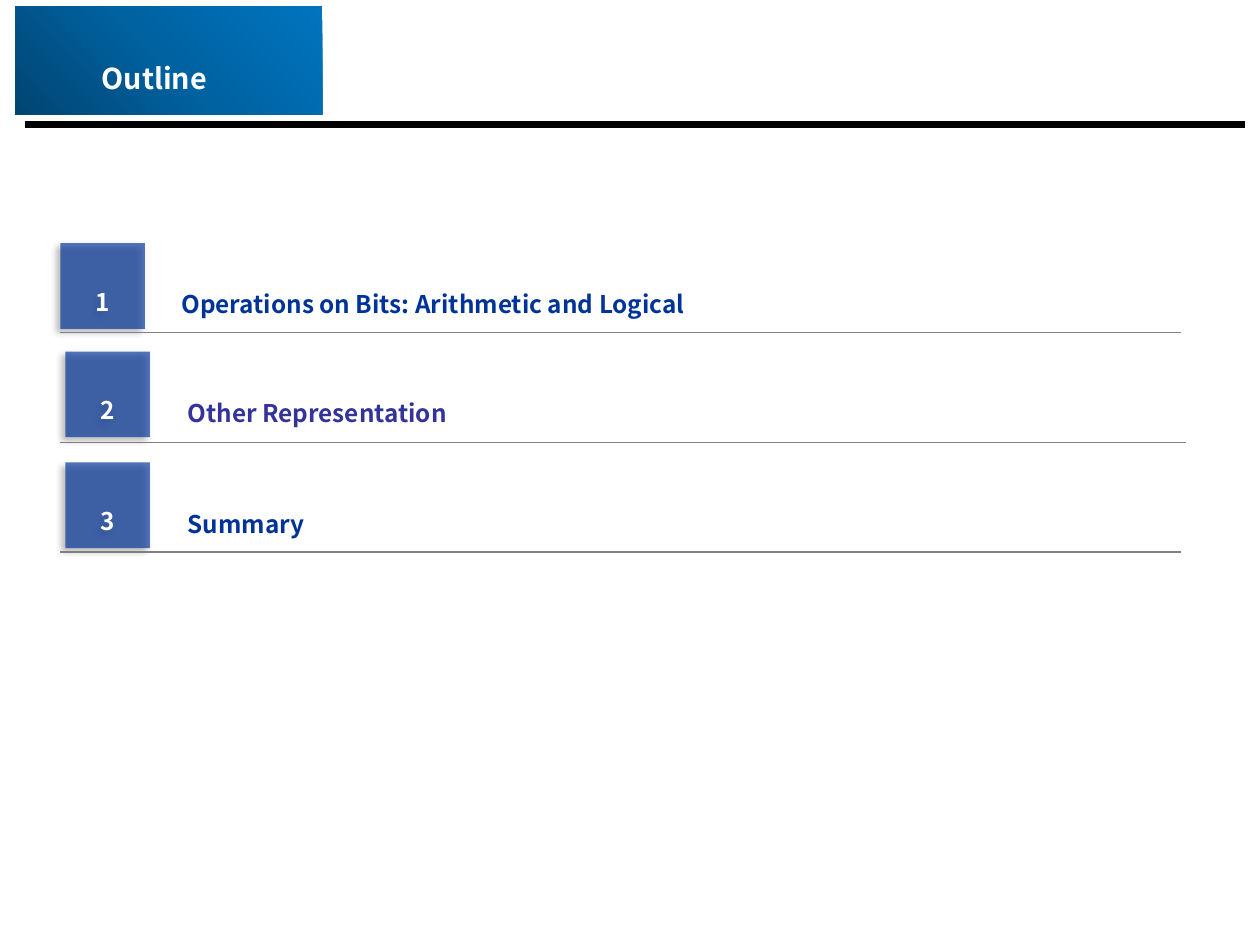
"""Build an outline slide with a title tab and three numbered topics."""
import pptx
import pptx.util
import pptx.dml.color
import pptx.enum.shapes
import pptx.enum.text
import pptx.oxml
import lxml.etree

COLS, ROWS = 1000, 750
FONT = "Noto Sans CJK SC"
HUES = {
    "white": "FFFFFF", "black": "000000", "gray": "808080",
    "navy": "003399", "violet": "333399",
    "deep": "004571", "mid": "0062A1", "sky": "0074BF",
}
TITLE = "Outline"
TOPICS = [
    {"text": "Operations on Bits: Arithmetic and Logical", "hue": "navy",
     "badge": (48, 193), "label": (133, 811), "rules": [48]},
    {"text": "Other Representation", "hue": "violet",
     "badge": (52, 279), "label": (138, 803), "rules": [48, 52]},
    {"text": "Summary", "hue": "navy",
     "badge": (52, 367), "label": (138, 803), "rules": [48]},
]
BASE, STEP, SIDE, SPAN = 264, 87, 67, 889
NS = "http://schemas.openxmlformats.org/drawingml/2006/main"
SHADE = f"""<a:effectLst xmlns:a="{NS}">
<a:outerShdw blurRad="50800" dist="38100" dir="8100000" algn="tr" rotWithShape="0">
<a:srgbClr val="{HUES['black']}"><a:alpha val="40000"/></a:srgbClr>
</a:outerShdw></a:effectLst>"""
PLAIN = f'<a:effectLst xmlns:a="{NS}"/>'
STOPS = "".join(
    f'<a:gs pos="{pos}"><a:srgbClr val="{HUES[hue]}"/></a:gs>'
    for pos, hue in [(0, "deep"), (50000, "mid"), (100000, "sky")])
GLOW = f"""<a:gradFill xmlns:a="{NS}" rotWithShape="1"><a:gsLst>{STOPS}</a:gsLst>
<a:path path="circle"><a:fillToRect t="100000" r="100000"/></a:path></a:gradFill>"""

deck = pptx.Presentation()
deck.slide_width = pptx.util.Inches(10)
deck.slide_height = pptx.util.Inches(7.5)
slide = deck.slides.add_slide(deck.slide_layouts[6])


def grid(x, y):
    return round(deck.slide_width * x / COLS), round(deck.slide_height * y / ROWS)


def tint(hue):
    return pptx.dml.color.RGBColor.from_string(HUES[hue])


def effect(item, xml):
    item._element.spPr.append(pptx.oxml.parse_xml(xml))


def rule(home, x, y, span, hue, width, xml):
    line = home.add_connector(
        pptx.enum.shapes.MSO_CONNECTOR.STRAIGHT, *grid(x, y), *grid(x + span, y))
    line.line.color.rgb = tint(hue)
    line.line.width = pptx.util.Pt(width)
    effect(line, xml)


def block(home, x, y, w, h, hue):
    rect = home.add_shape(
        pptx.enum.shapes.MSO_SHAPE.RECTANGLE, *grid(x, y), *grid(w, h))
    rect.fill.solid()
    rect.fill.fore_color.rgb = tint(hue)
    rect.line.fill.background()
    rect.shadow.inherit = False
    return rect


def write(shape, text, size, hue, align, side=0, foot=0, wrap=True):
    frame = shape.text_frame
    frame.text = text
    frame.word_wrap = wrap
    frame.vertical_anchor = pptx.enum.text.MSO_ANCHOR.BOTTOM
    frame.margin_left = frame.margin_right = grid(side, 0)[0]
    frame.margin_top, frame.margin_bottom = 0, grid(0, foot)[1]
    para = frame.paragraphs[0]
    para.alignment = align
    font = para.runs[0].font
    font.name, font.size, font.bold = FONT, pptx.util.Pt(size), True
    font.color.rgb = tint(hue)


def topic(row, data):
    home = slide.shapes.add_group_shape().shapes
    x, top = data["badge"]
    left, width = data["label"]
    label = block(home, left, top + 10, width, 48, "white")
    write(label, data["text"], 13.9, data["hue"],
          pptx.enum.text.PP_ALIGN.LEFT, side=11, foot=-2)
    badge = block(home, x, top, SIDE, SIDE + 1, "navy")
    spot = badge._element.spPr.find(f".//{{{NS}}}srgbClr")
    lxml.etree.SubElement(spot, f"{{{NS}}}alpha", val="67000")
    badge._element.spPr.remove(badge._element.spPr.find(f"{{{NS}}}effectLst"))
    effect(badge, SHADE)
    write(badge, str(row + 1), 13.9, "white",
          pptx.enum.text.PP_ALIGN.CENTER, foot=10, wrap=False)
    for start in data["rules"]:
        rule(home, start, BASE + row * STEP, SPAN, "gray", 0.75, SHADE)


rule(slide.shapes, 20, 99, 968, "black", 3.75, PLAIN)
tab = block(slide.shapes, 12, 5, 244, 86, "mid")
flat = tab._element.spPr.find(f"{{{NS}}}solidFill")
tab._element.spPr.replace(flat, pptx.oxml.parse_xml(GLOW))
head = slide.shapes.add_textbox(*grid(12, 25), *grid(221, 47))
write(head, TITLE, 16.4, "white", pptx.enum.text.PP_ALIGN.CENTER, foot=-4)
for row, data in enumerate(TOPICS):
    topic(row, data)
deck.save("out.pptx")
